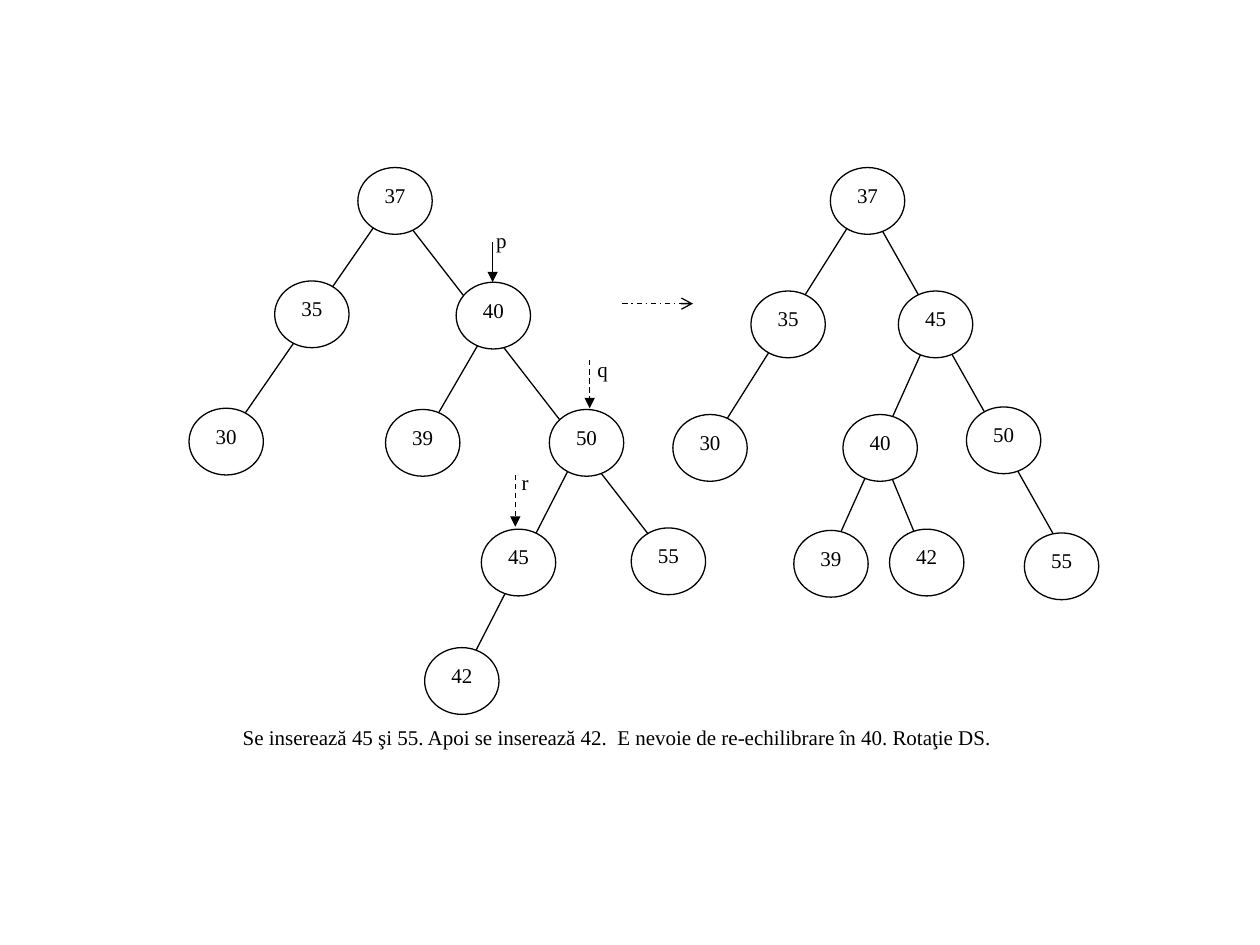
from lxml import etree
from pptx import Presentation
from pptx import util as u
from pptx.dml.color import RGBColor
from pptx.enum import dml, shapes, text
from pptx.oxml import ns

# Content; positions are (column, row) on a grid of 100 columns by 75 rows
COLS, ROWS = 100, 75
NODE = (5.9, 5.3)
TREES = [
    {   # before the rotation
        "branches": [
            ((39.2, 25.2), (33.4, 35.2)), ((31.4, 16.5), (54.4, 46.2)),
            ((31, 16.1), (18, 34.9)), ((46.6, 34.4), (36.3, 54.5)),
        ],
        "nodes": [
            ("37", 28.4, 13.3), ("35", 21.8, 22.3), ("40", 36.2, 22.4),
            ("30", 15, 32.4), ("39", 30.6, 32.5), ("50", 43.6, 32.5),
            ("45", 38.2, 42), ("55", 50.1, 41.9), ("42", 33.7, 51.4),
        ],
    },
    {   # after the rotation
        "branches": [
            ((69.9, 35.8), (73.7, 45)), ((74.2, 25.6), (65.4, 45.2)),
            ((69, 16.5), (84.9, 44.7)), ((68.5, 16.1), (56.4, 35.3)),
        ],
        "nodes": [
            ("37", 65.9, 13.3), ("35", 59.6, 23.1), ("45", 71.3, 23.1),
            ("30", 53.4, 32.9), ("40", 66.9, 32.9), ("50", 76.7, 32.3),
            ("39", 63, 42.1), ("42", 70.6, 42), ("55", 81.3, 42.3),
        ],
    },
]
DASH = dml.MSO_LINE.DASH
# label, label box, label insets (inches), arrow start, arrow end, dash
POINTERS = [
    ("p", (38.4, 17.6, 4.3, 4.1), (0.1, 0.05), (39.1, 19.2), (39.1, 22.4), None),
    ("q", (47.4, 28.3, 1.5, 4.1), (0, 0), (46.8, 28.6), (46.8, 32.4), DASH),
    ("r", (41.4, 37.3, 1.4, 4.1), (0, 0), (40.9, 37.7), (40.9, 41.8), DASH),
]
STEP = ((49.4, 24.1), (55, 24.1))
CAPTION = ("Se inserează 45 şi 55. Apoi se inserează 42.  "
           "E nevoie de re-echilibrare în 40. Rotaţie DS.")
CAPTION_BOX = (16.5, 57, 65, 6.3)

THEME = {"ink": RGBColor(0, 0, 0), "paper": RGBColor(255, 255, 255),
         "font": "Times New Roman", "size": u.Pt(12), "line": u.Pt(0.75)}

prs = Presentation()
prs.slide_width, prs.slide_height = u.Inches(10), u.Inches(7.5)
s = prs.slides.add_slide(prs.slide_layouts[6])


def grid(*values):
    """Turn alternating columns and rows into slide lengths."""
    units = (prs.slide_width / COLS, prs.slide_height / ROWS)
    return [u.Emu(round(v * units[i % 2])) for i, v in enumerate(values)]


def add_line(start, end, head=None, dash=None):
    c = s.shapes.add_connector(shapes.MSO_CONNECTOR.STRAIGHT, *grid(*start, *end))
    c.line.color.rgb, c.line.width = THEME["ink"], THEME["line"]
    if dash:
        c.line.dash_style = dash
    if head:
        etree.SubElement(c.line._get_or_add_ln(), ns.qn("a:tailEnd"), type=head)
    etree.SubElement(c._element.spPr, ns.qn("a:effectLst"))


def add_label(label, box, kind=shapes.MSO_SHAPE.RECTANGLE, insets=(0.1, 0.05, 0.1, 0.05),
              align=text.PP_ALIGN.CENTER, outlined=False):
    sp = s.shapes.add_shape(kind, *grid(*box))
    sp.shadow.inherit = False
    sp.fill.solid()
    sp.fill.fore_color.rgb = THEME["paper"]
    if outlined:
        sp.line.color.rgb, sp.line.width = THEME["ink"], THEME["line"]
    else:
        sp.line.fill.background()
    tf = sp.text_frame
    tf.word_wrap = True
    tf.vertical_anchor = text.MSO_ANCHOR.TOP
    tf.margin_left, tf.margin_top, tf.margin_right, tf.margin_bottom = map(u.Inches, insets)
    tf.text = label
    p = tf.paragraphs[0]
    p.alignment = align
    f = p.runs[0].font
    f.name, f.size, f.color.rgb = THEME["font"], THEME["size"], THEME["ink"]


# Trees: branches run behind the nodes
for tree in TREES:
    for start, end in tree["branches"]:
        add_line(start, end)
    for key, col, row in tree["nodes"]:
        add_label(key, (col, row, *NODE), shapes.MSO_SHAPE.OVAL,
                  insets=(0, 0.04, 0, 0), outlined=True)

# Pointers p, q, r
for name, box, insets, start, end, dash in POINTERS:
    add_label(name, box, insets=insets * 2, align=text.PP_ALIGN.LEFT)
    add_line(start, end, "triangle", dash)

# Step between the trees, and caption
add_line(*STEP, "arrow", dml.MSO_LINE.DASH_DOT)
add_label(CAPTION, CAPTION_BOX)

prs.save("out.pptx")
